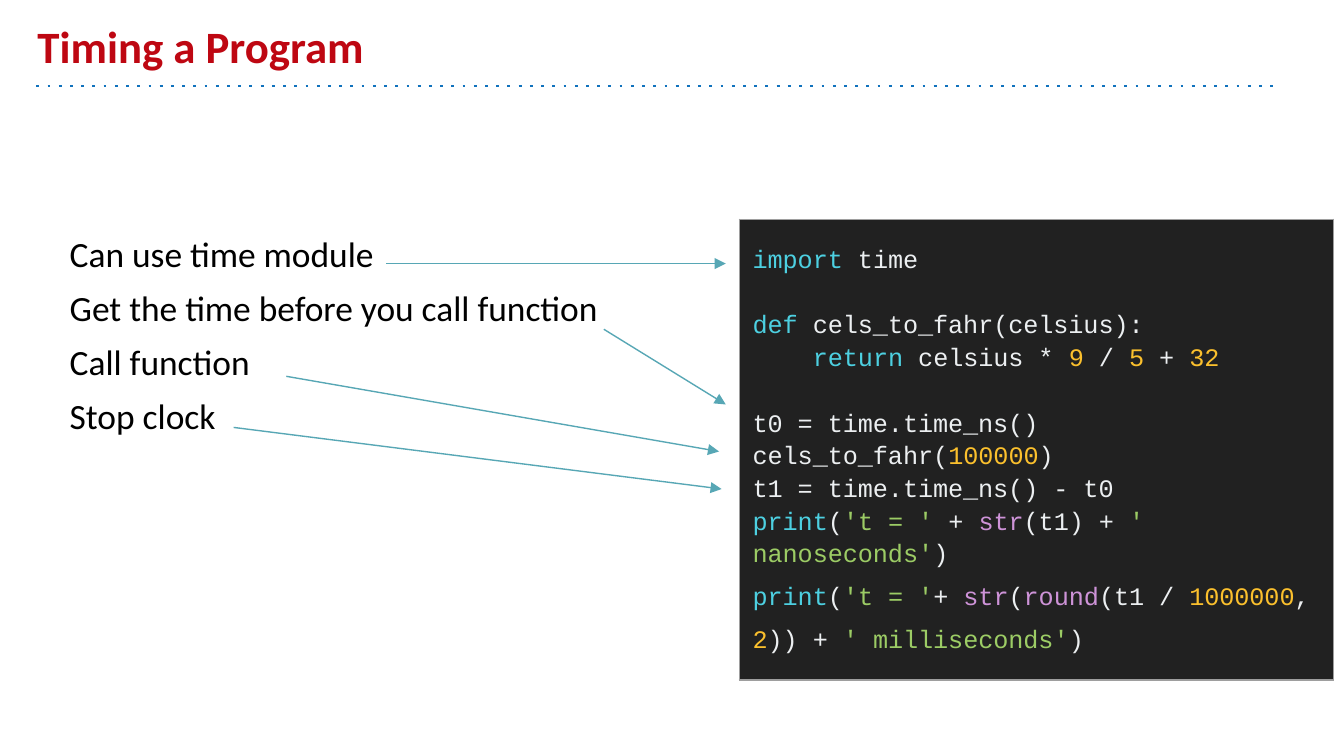
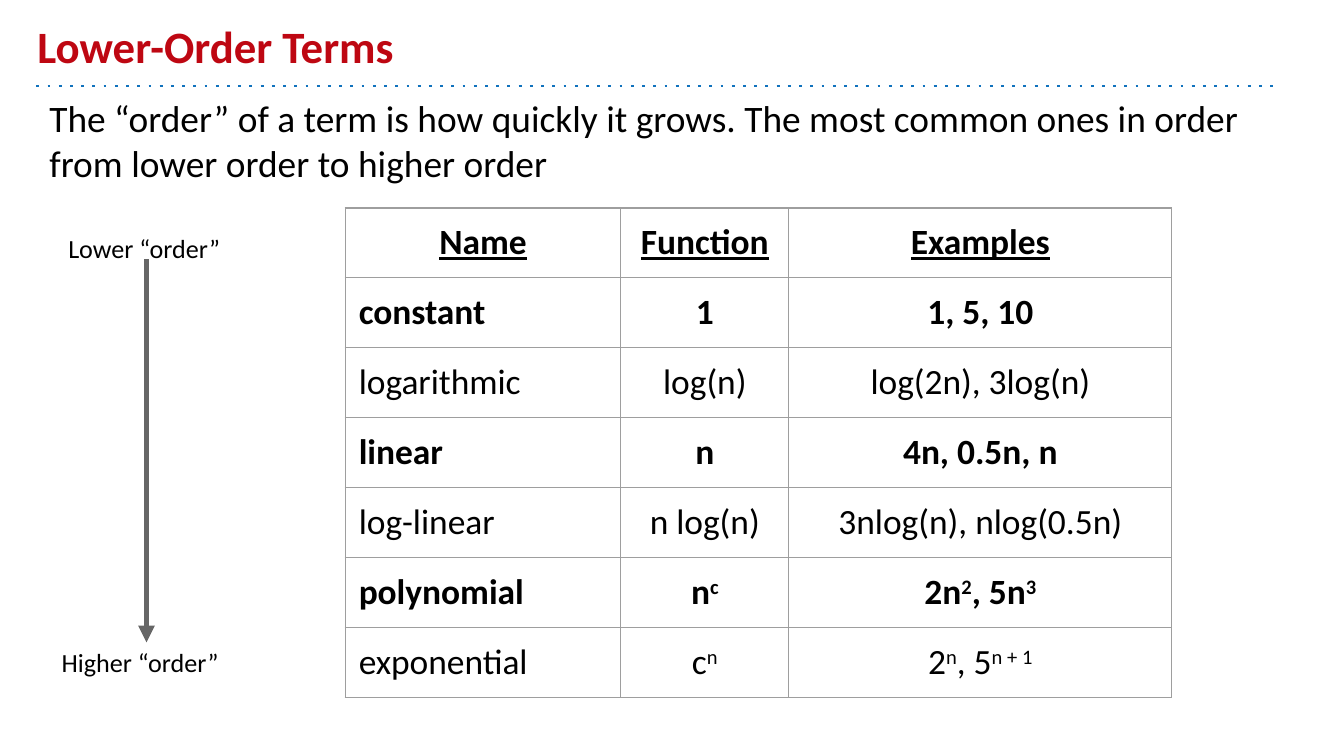
from lxml import etree
from pptx import Presentation
from pptx.dml.color import RGBColor
from pptx.enum.shapes import MSO_CONNECTOR
from pptx.enum.text import MSO_ANCHOR, PP_ALIGN
from pptx.oxml.ns import qn
from pptx.util import Pt

LINE = MSO_CONNECTOR.STRAIGHT
TOP, MIDDLE, BOTTOM = MSO_ANCHOR.TOP, MSO_ANCHOR.MIDDLE, MSO_ANCHOR.BOTTOM
LEFT, CENTER = PP_ALIGN.LEFT, PP_ALIGN.CENTER
SANS, MONO = "Calibri", "Courier New"
INSET = 7.2
COLORS = {
    "title": "BE0712", "rule": "1072BD", "text": "000000",
    "arrow": "57A7B5", "order": "666666", "grid": "9E9E9E",
    "panel": "212121", "plain": "ECEFF1", "key": "4DD0E1",
    "number": "FBC02D", "string": "9CCC65", "call": "CE93D8",
}

# Backticks enclose coloured code; each entry is (line, line spacing, space before)
CODE = [
    ("`import` time", 1.15, 0),
    ("`def` cels_to_fahr(celsius):", 1.15, 17.6),
    ("    `return` celsius * `9` / `5` + `32`", 1.15, 0),
    ("t0 = time.time_ns()", 1.15, 17.6),
    ("cels_to_fahr(`100000`)", 1.15, 0),
    ("t1 = time.time_ns() - t0", 1.15, 0),
    ("`print`(`'t = '` + `str`(t1) + `' nanoseconds'`)", 1.15, 0),
    ("`print`(`'t = '`+ `str`(`round`(t1 / `1000000`, `2`)) + "
     "`' milliseconds'`)", 1.5, 0),
]

# Carets enclose superscripts
ORDERS = [
    ("Name", "Function", "Examples"),
    ("constant", "1", "1, 5, 10"),
    ("logarithmic", "log(n)", "log(2n), 3log(n)"),
    ("linear", "n", "4n, 0.5n, n"),
    ("log-linear", "n log(n)", "3nlog(n), nlog(0.5n)"),
    ("polynomial", "n^c", "2n^2^, 5n^3"),
    ("exponential", "c^n", "2^n^, 5^n + 1"),
]


def rgb(name):
    return RGBColor.from_string(COLORS[name])


def style(font, size, color="text", face=SANS, bold=False):
    font.name, font.size, font.bold = face, Pt(size), bold
    font.color.rgb = rgb(color)


def inset(item):
    item.margin_left = item.margin_right = Pt(INSET)
    item.margin_top = item.margin_bottom = Pt(INSET)


def pieces(para, text, mark):
    """Add runs split at mark; yield each with whether it was marked."""
    for i, part in enumerate(text.split(mark)):
        if part:
            run = para.add_run()
            run.text = part
            yield run, i % 2 == 1


def add_text(slide, box, lines, size, color="text", bold=False, anchor=TOP):
    frame = slide.shapes.add_textbox(*map(Pt, box)).text_frame
    frame.word_wrap = True
    frame.vertical_anchor = anchor
    inset(frame)
    frame.text = "\n".join(lines)
    for i, para in enumerate(frame.paragraphs):
        para.space_before = Pt(6 if i else 0)
        for run in para.runs:
            style(run.font, size, color, bold=bold)


def add_line(slide, ends, color, width, dash=None, arrow=False):
    line = slide.shapes.add_connector(LINE, *map(Pt, ends))
    line.line.color.rgb = rgb(color)
    line.line.width = Pt(width)
    ln = line.line._get_or_add_ln()
    if dash:
        etree.SubElement(ln, qn("a:prstDash"), val=dash)
    if arrow:
        etree.SubElement(ln, qn("a:tailEnd"), type="triangle")
    etree.SubElement(line._element.spPr, qn("a:effectLst"))


def add_grid(slide, left, top, cols, rows):
    table = slide.shapes.add_table(
        len(rows), len(cols), Pt(left), Pt(top),
        Pt(sum(cols)), Pt(sum(rows))).table
    table.first_row = table.horz_banding = False
    for col, width in zip(table.columns, cols):
        col.width = Pt(width)
    for row, height in zip(table.rows, rows):
        row.height = Pt(height)
    for cell in table.iter_cells():
        inset(cell)
        props = cell._tc.get_or_add_tcPr()
        for side in ("lnL", "lnR", "lnT", "lnB"):
            edge = etree.SubElement(props, qn("a:" + side), w=str(Pt(0.75)))
            fill = etree.SubElement(edge, qn("a:solidFill"))
            etree.SubElement(fill, qn("a:srgbClr"), val=COLORS["grid"])
        cell.fill.background()
    return table


def token(word):
    if word.startswith("'"):
        return "string"
    if word.isdigit():
        return "number"
    return "call" if word in ("str", "round") else "key"


def add_code(slide, left, top, width, height):
    cell = add_grid(slide, left, top, [width], [height]).cell(0, 0)
    cell.fill.solid()
    cell.fill.fore_color.rgb = rgb("panel")
    cell.vertical_anchor = MIDDLE
    frame = cell.text_frame
    for i, (text, space, before) in enumerate(CODE):
        para = frame.add_paragraph() if i else frame.paragraphs[0]
        para.line_spacing = space
        para.space_before = Pt(before)
        for run, marked in pieces(para, text, "`"):
            color = token(run.text) if marked else "plain"
            style(run.font, 13.5, color, MONO)


def add_orders(slide, left, top):
    table = add_grid(slide, left, top, [147.6, 90, 205.2],
                     [37.5] * len(ORDERS))
    for r, row in enumerate(ORDERS):
        for c, text in enumerate(row):
            para = table.cell(r, c).text_frame.paragraphs[0]
            para.alignment = LEFT if r and not c else CENTER
            for run, marked in pieces(para, text, "^"):
                # The header and every odd row are bold
                style(run.font, 19, bold=r == 0 or r % 2 == 1)
                run.font.underline = r == 0
                if marked:
                    run._r.get_or_add_rPr().set("baseline", "30000")


def add_slide(deck, title):
    """Blank slide with the shared title and dotted rule."""
    slide = deck.slides.add_slide(deck.slide_layouts[6])
    add_line(slide, (19.5, 46.1, 684, 46.1), "rule", 1.5, dash="dot")
    add_text(slide, (13, 7.2, 648, 38.9), [title], 24, "title", True, BOTTOM)
    return slide


def timing(deck):
    slide = add_slide(deck, "Timing a Program")
    add_text(slide, (30.3, 117.4, 340.6, 163.4), [
        "Can use time module",
        "Get the time before you call function",
        "Call function",
        "Stop clock",
    ], 19)
    # Arrows from each step to its code
    for ends in ((323.5, 176.4, 388.8, 216.7), (206.8, 141.2, 388.8, 141.2),
                 (153.4, 201.6, 385.2, 241.9), (125.2, 229, 386.6, 262)):
        add_line(slide, ends, "arrow", 0.75, arrow=True)
    add_code(slide, 396, 117.4, 318.2, 240.5)


def terms(deck):
    slide = add_slide(deck, "Lower-Order Terms")
    add_text(slide, (19.4, 43.9, 664.6, 326.9), [
        "The “order” of a term is how quickly it grows. The most common ones "
        "in order from lower order to higher order"], 20)
    add_orders(slide, 185, 111.4)
    # Scale from lower to higher order
    add_line(slide, (78.5, 139, 78.5, 344.2), "order", 3, arrow=True)
    add_text(slide, (29.5, 117.4, 97.9, 31.7), ["Lower “order”"], 14)
    add_text(slide, (25.9, 339.1, 105.1, 31.7), ["Higher “order”"], 14)


def main():
    deck = Presentation()
    deck.slide_width, deck.slide_height = Pt(720), Pt(405)
    timing(deck)
    terms(deck)
    deck.save("out.pptx")


if __name__ == "__main__":
    main()
